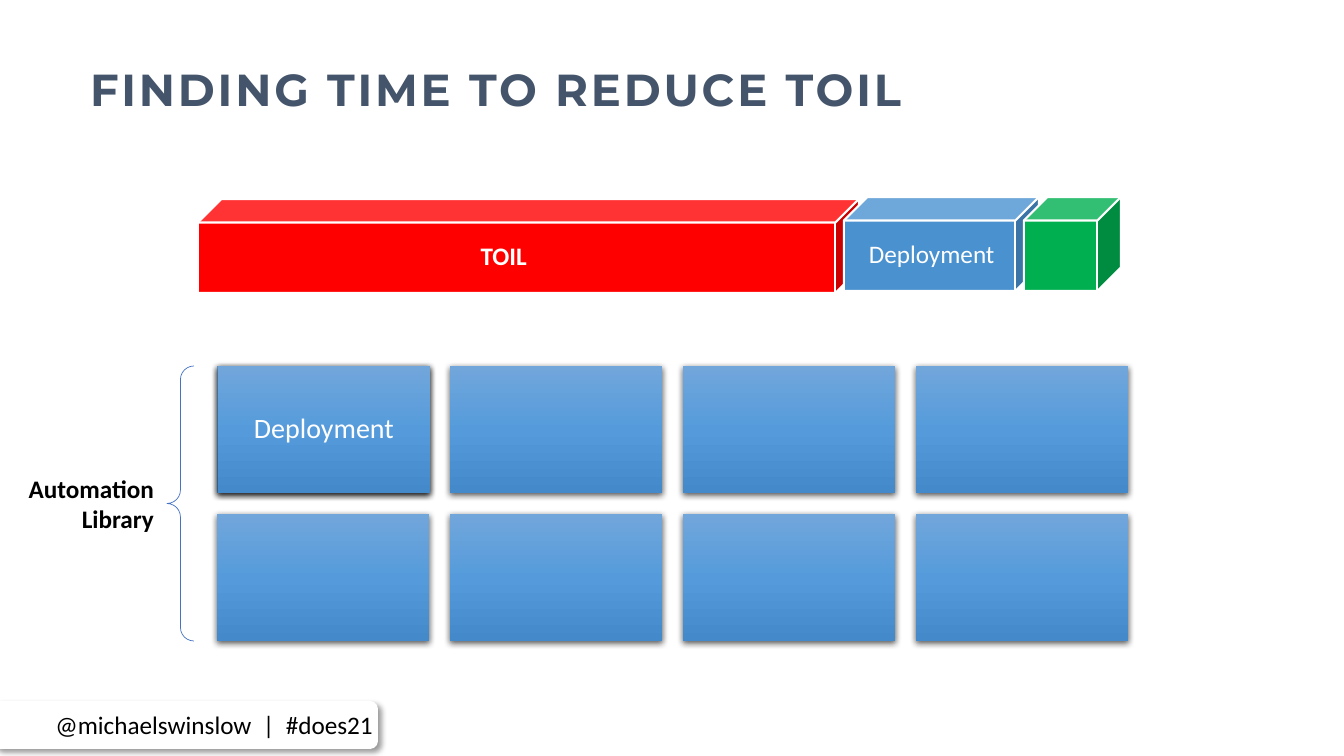
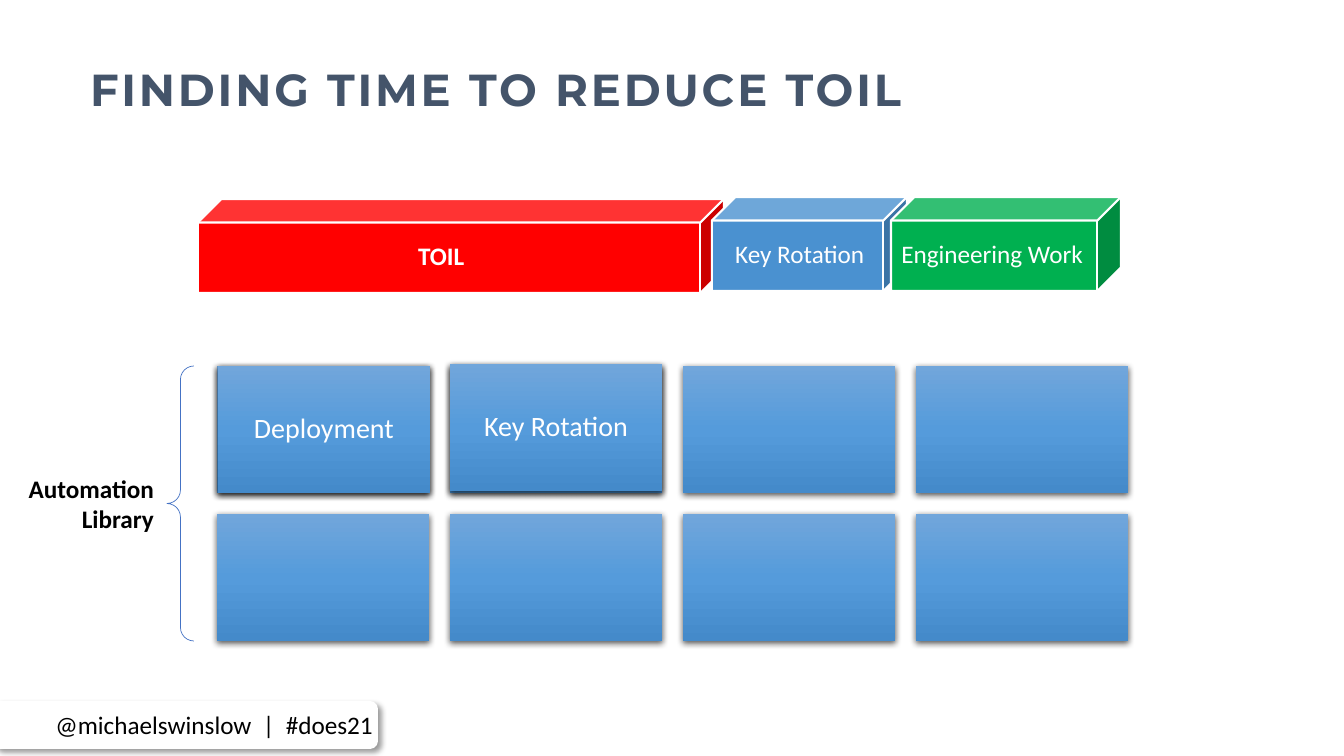
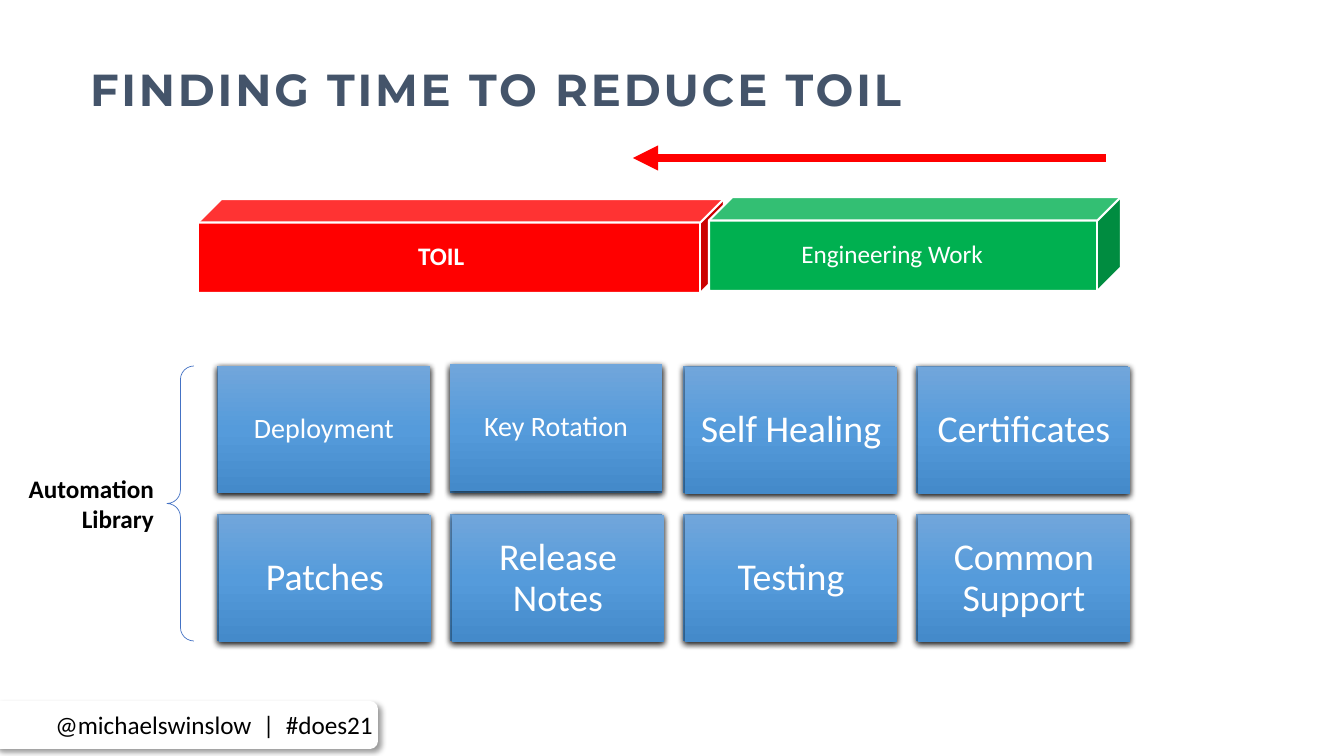
from copy import deepcopy
from dataclasses import dataclass

from lxml import etree
from pptx import Presentation
from pptx.dml.color import RGBColor
from pptx.enum.shapes import MSO_CONNECTOR, MSO_SHAPE
from pptx.enum.text import MSO_ANCHOR, PP_ALIGN
from pptx.oxml.ns import qn
from pptx.util import Emu, Pt

CUBE, TILE = MSO_SHAPE.CUBE, MSO_SHAPE.RECTANGLE
BRACE, BADGE = MSO_SHAPE.LEFT_BRACE, MSO_SHAPE.ROUNDED_RECTANGLE
STRAIGHT = MSO_CONNECTOR.STRAIGHT
LEFT, CENTER, RIGHT = PP_ALIGN.LEFT, PP_ALIGN.CENTER, PP_ALIGN.RIGHT
TOP, MIDDLE = MSO_ANCHOR.TOP, MSO_ANCHOR.MIDDLE
SLIDE_WIDTH, SLIDE_HEIGHT = 1344, 756
EMU_PER_PX = 12192000 / SLIDE_WIDTH


@dataclass(frozen=True)
class Theme:
    """Colours, fonts and type sizes shared by all slides."""
    body_font: str = "Calibri"
    title_font: str = "Montserrat"
    title_size: int = 32
    label_size: int = 18
    early_tile_size: int = 20
    late_tile_size: int = 27
    title: str = "44546A"
    ink: str = "000000"
    paper: str = "FFFFFF"
    toil: str = "FF0000"
    automation: str = "4A91D0"
    engineering: str = "00B050"
    brace: str = "4472C4"
    tile_stops: tuple = ((0, "71A6DB"), (0.5, "559BDB"), (1, "448ACA"))


THEME = Theme()
TITLE = "FINDING TIME TO REDUCE TOIL"
HANDLE = "@michaelswinslow  |  #does21"
TITLE_BOX = (90, 48, 1159, 85)
BARS_BOX = (198, 197, 923, 94)
LIBRARY_BOX = (217, 366, 911, 275)
CAPTION_BOX = (17, 468, 147, 72)
BRACE_BOX = (167, 366, 27, 275)
ARROW_BOX = (633, 158, 473, 0)
BADGE_BOX = (-7, 701, 385, 48)

EARLY = {"size": THEME.early_tile_size, "inset": 22}
LATE = {"size": THEME.late_tile_size, "inset": 11, "nudge": (2, 1)}
DEPLOYMENT = {"label": "Deployment", "cell": (0, 0), "nudge": (1, 0), **EARLY}
KEY_ROTATION = {"label": "Key Rotation", "cell": (0, 1), "nudge": (0, -2), **EARLY}
LATE_TILES = [
    {"label": label, "cell": cell, **LATE}
    for label, cell in (
        ("Self Healing", (0, 2)), ("Certificates", (0, 3)),
        ("Patches", (1, 0)), ("Release Notes", (1, 1)),
        ("Testing", (1, 2)), ("Common Support", (1, 3)),
    )
]


def toil(width, shift):
    """Describe the red toil bar, which starts the row."""
    return {"label": "TOIL", "left": 0, "top": 2, "width": width,
            "color": THEME.toil, "shift": shift, "bold": True}


def work(label, left, width, color, shift):
    """Describe a bar of work that follows the toil."""
    return {"label": label, "left": left, "top": 0, "width": width,
            "color": color, "shift": shift, "bold": False}


SLIDES = [
    {"bars": [toil(661, -13),
              work("Deployment", 646, 195, THEME.automation, 2),
              work("", 826, 97, THEME.engineering, 0)],
     "tiles": [DEPLOYMENT], "arrow": False},
    {"bars": [toil(526, -8),
              work("Key Rotation", 514, 195, THEME.automation, 2),
              work("Engineering Work", 693, 230, THEME.engineering, -2)],
     "tiles": [DEPLOYMENT, KEY_ROTATION], "arrow": False},
    {"bars": [toil(526, -8),
              work("Engineering Work", 511, 412, THEME.engineering, -11)],
     "tiles": [DEPLOYMENT, KEY_ROTATION, *LATE_TILES], "arrow": True},
]


def px(length):
    """Turn px into EMU."""
    return Emu(round(length * EMU_PER_PX))


def rgb(color):
    """Turn a hex string into a colour."""
    return RGBColor.from_string(color)


def apply(target, values):
    """Set each named attribute of the target."""
    for name, value in values.items():
        setattr(target, name, value)


def write(frame, lines, color, align, anchor=MIDDLE, insets=(10, 5, 10, 5),
          spacing=None, size=THEME.label_size, font=THEME.body_font, bold=False):
    """Fill a text frame with one paragraph a line."""
    left, top, right, bottom = map(px, insets)
    apply(frame, {"word_wrap": True, "vertical_anchor": anchor,
                  "margin_left": left, "margin_top": top,
                  "margin_right": right, "margin_bottom": bottom})
    for index, line in enumerate(lines):
        paragraph = frame.add_paragraph() if index else frame.paragraphs[0]
        apply(paragraph, {"alignment": align, "line_spacing": spacing})
        run = paragraph.add_run()
        run.text = line
        apply(run.font, {"name": font, "size": Pt(size), "bold": bold})
        run.font.color.rgb = rgb(color)


def add_preset(slide, preset, box, fill=None, line=None, weight=1.0):
    """Add a flat preset shape with its own fill and line."""
    shape = slide.shapes.add_shape(preset, *map(px, box))
    shape.shadow.inherit = False
    if fill:
        shape.fill.solid()
        shape.fill.fore_color.rgb = rgb(fill)
    else:
        shape.fill.background()
    if line:
        shape.line.color.rgb = rgb(line)
        shape.line.width = Pt(weight)
    else:
        shape.line.fill.background()
    return shape


def cast_shadow(shape, blur, distance, degrees, opacity):
    """Give a shape a soft outer shadow."""
    effects = shape._element.spPr.find(qn("a:effectLst"))
    shadow = etree.SubElement(effects, qn("a:outerShdw"), {
        "blurRad": str(Pt(blur)), "dist": str(Pt(distance)),
        "dir": str(degrees * 60000), "algn": "ctr", "rotWithShape": "0"})
    color = etree.SubElement(shadow, qn("a:srgbClr"), val=THEME.ink)
    etree.SubElement(color, qn("a:alpha"), val=str(opacity * 1000))


def add_title(slide, box):
    """Place and format the slide title."""
    title = slide.shapes.title
    left, top, width, height = map(px, box)
    apply(title, {"left": left, "top": top, "width": width, "height": height})
    write(title.text_frame, [TITLE], THEME.title, LEFT, insets=(0, 0, 0, 0),
          spacing=Pt(36), size=THEME.title_size, font=THEME.title_font, bold=True)
    title.text_frame.paragraphs[0].runs[0].font._element.set("spc", "200")


def add_bars(slide, box, bars):
    """Draw the row of time blocks, each labelled on its front face."""
    left, top, _, height = box
    for bar in bars:
        block = add_preset(
            slide, CUBE, (left + bar["left"], top + bar["top"], bar["width"], height),
            bar["color"], THEME.paper, 1.5)
        if bar["label"]:
            shift = bar["shift"]
            insets = (5 + max(0, 2 * shift), 0, 5 + max(0, -2 * shift), 5)
            write(block.text_frame, [bar["label"]], THEME.paper, CENTER,
                  insets=insets, bold=bar["bold"])


def add_tile(slide, box):
    """Draw one gradient tile of the library."""
    tile = add_preset(slide, TILE, box)
    tile.fill.gradient()
    tile.fill.gradient_angle = 270
    stops = tile._element.spPr.find(qn("a:gradFill")).find(qn("a:gsLst"))
    stops.append(deepcopy(stops[0]))
    for stop, (position, color) in zip(tile.fill.gradient_stops, THEME.tile_stops):
        stop.color.rgb = rgb(color)
        stop.position = position
    cast_shadow(tile, 4.5, 1.5, 90, 63)
    return tile


def add_library(slide, box, finished, rows=2, columns=4, gap=21):
    """Draw the grid of open tiles and lay the finished ones over it."""
    left, top, width, height = box
    tile_width = (width - gap * (columns - 1)) // columns
    tile_height = (height - gap * (rows - 1)) // rows

    def cell_box(row, column, nudge=(0, 0)):
        """Find the box of a grid cell."""
        return (left + column * (tile_width + gap) + nudge[0],
                top + row * (tile_height + gap) + nudge[1], tile_width, tile_height)

    for index in range(rows * columns):
        add_tile(slide, cell_box(*divmod(index, columns)))
    for automation in finished:
        tile = add_tile(slide, cell_box(*automation["cell"], automation["nudge"]))
        write(tile.text_frame, [automation["label"]], THEME.paper, CENTER,
              insets=(automation["inset"],) * 4, spacing=0.9, size=automation["size"])


def add_caption(slide, caption_box, brace_box):
    """Name the library beside its brace."""
    brace = add_preset(slide, BRACE, brace_box, line=THEME.brace, weight=0.5)
    brace.adjustments[0] = 0.5
    caption = slide.shapes.add_textbox(*map(px, caption_box))
    write(caption.text_frame, ["Automation", "Library"], THEME.ink, RIGHT,
          anchor=TOP, bold=True)


def add_arrow(slide, box):
    """Draw the arrow that pushes toil to the left."""
    left, top, width, height = box
    arrow = slide.shapes.add_connector(
        STRAIGHT, *map(px, (left + width, top, left, top + height)))
    arrow.line.color.rgb = rgb(THEME.toil)
    arrow.line.width = Pt(6)
    properties = arrow._element.spPr
    etree.SubElement(properties.find(qn("a:ln")), qn("a:tailEnd"), type="triangle")
    etree.SubElement(properties, qn("a:effectLst"))


def add_badge(slide, box):
    """Draw the footer badge with the speaker's handle."""
    badge = add_preset(slide, BADGE, box, THEME.paper)
    cast_shadow(badge, 4, 3, 45, 40)
    write(badge.text_frame, [HANDLE], THEME.ink, LEFT, insets=(60, 3, 0, 5))


def build_slide(deck, content):
    """Build one step of the toil story."""
    slide = deck.slides.add_slide(deck.slide_layouts[5])
    add_title(slide, TITLE_BOX)
    add_caption(slide, CAPTION_BOX, BRACE_BOX)
    add_bars(slide, BARS_BOX, content["bars"])
    add_library(slide, LIBRARY_BOX, content["tiles"])
    if content["arrow"]:
        add_arrow(slide, ARROW_BOX)
    add_badge(slide, BADGE_BOX)


def main():
    """Build and save the deck."""
    deck = Presentation()
    apply(deck, {"slide_width": px(SLIDE_WIDTH), "slide_height": px(SLIDE_HEIGHT)})
    for content in SLIDES:
        build_slide(deck, content)
    deck.save("out.pptx")


if __name__ == "__main__":
    main()
